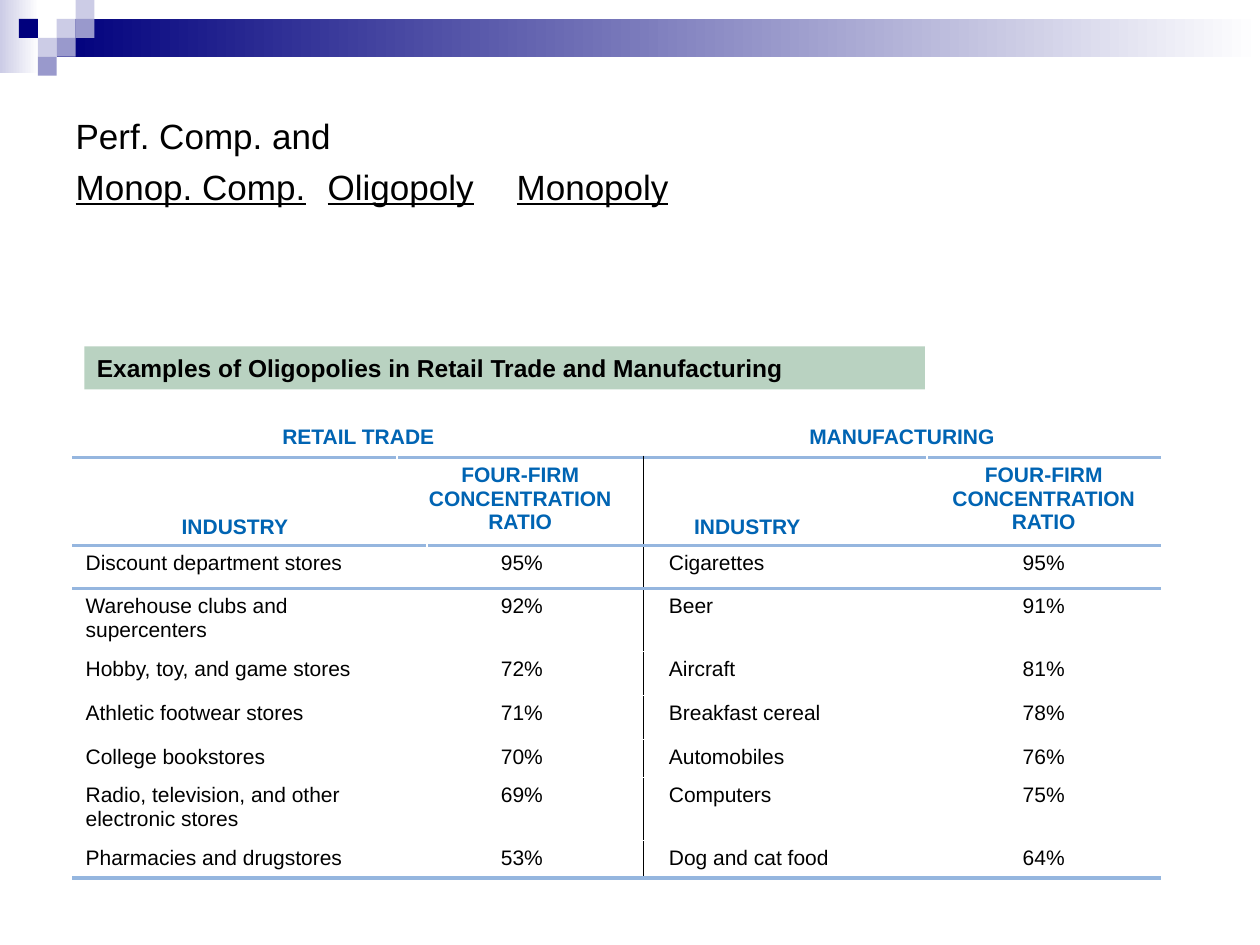
from pptx import Presentation
from pptx.dml.color import RGBColor
from pptx.enum.shapes import MSO_SHAPE
from pptx.enum.text import MSO_ANCHOR, MSO_AUTO_SIZE, PP_ALIGN
from pptx.oxml.ns import qn
from pptx.util import Inches, Pt
from lxml.etree import SubElement, Element

NAVY, LILAC, VIOLET, WHITE = "00007D", "CCCCE6", "9999CC", "FFFFFF"
BLACK, HEAD_BLUE, RULE_BLUE, SAGE = "000000", "0064B3", "95B6DF", "B9D2C1"

FADES = [((0, 0, 0.31, 0.58), LILAC), ((0.45, 0.15, 9.55, 0.3), NAVY)]
SQUARE = 0.15
SQUARES = [(3, 1, LILAC), (4, 0, LILAC), (4, 1, VIOLET), (2, 2, LILAC),
           (1, 1, NAVY), (3, 2, VIOLET), (2, 3, VIOLET)]

MARKETS = ["Perf. Comp. and", "Monop. Comp.\tOligopoly\tMonopoly"]
MARKET_TABS = [3.23, 6]
BANNER = "Examples of Oligopolies in Retail Trade and Manufacturing"

COLS = [2.57, 0.2, 1.72, 2.25, 1.85]
ROWS = [0.3, 0.7, 0.34, 0.5, 0.35, 0.35, 0.3, 0.5, 0.3]
RATIO = "FOUR-FIRM CONCENTRATION RATIO"
INDUSTRIES = [
    ("Discount department stores", "95%", "Cigarettes", "95%"),
    ("Warehouse clubs and supercenters", "92%", "Beer", "91%"),
    ("Hobby, toy, and game stores", "72%", "Aircraft", "81%"),
    ("Athletic footwear stores", "71%", "Breakfast cereal", "78%"),
    ("College bookstores", "70%", "Automobiles", "76%"),
    ("Radio, television, and other electronic stores", "69%", "Computers", "75%"),
    ("Pharmacies and drugstores", "53%", "Dog and cat food", "64%"),
]
DIVIDER_COL = 3
RULED_ROWS = {0, 1, len(ROWS) - 1}

LEFT, CENTER, RIGHT = PP_ALIGN.LEFT, PP_ALIGN.CENTER, PP_ALIGN.RIGHT
TOP, BOTTOM = MSO_ANCHOR.TOP, MSO_ANCHOR.BOTTOM
# Each cell format: first column, columns spanned, alignment, anchor, left and right inset
GROUP_CELLS = [(0, 3, CENTER, TOP, 0.1, 0.1), (3, 2, CENTER, TOP, 0.1, 0.1)]
LABEL_CELLS = [(0, 1, CENTER, BOTTOM, 0.1, 0.1), (1, 2, CENTER, TOP, 0.1, 0.1),
               (3, 1, LEFT, BOTTOM, 0.4, 0), (4, 1, CENTER, TOP, 0.1, 0.1)]
DATA_CELLS = [(0, 2, LEFT, TOP, 0.1, 0.1), (2, 1, RIGHT, TOP, 0.1, 0.8),
              (3, 1, LEFT, TOP, 0.2, 0.1), (4, 1, CENTER, TOP, 0.1, 0.1)]


def rgb(value):
    """Turn a hex string into a colour."""
    return RGBColor.from_string(value)


def write(p, text, color=BLACK, **font):
    """Add a run of Arial text to a paragraph."""
    r = p.add_run()
    r.text = text
    r.font.color.rgb = rgb(color)
    for name, value in {"name": "Arial", **font}.items():
        setattr(r.font, name, value)


def add_rect(slide, box, color, fade=False):
    """Add a plain rectangle, solid or fading to white on the right."""
    sp = slide.shapes.add_shape(MSO_SHAPE.RECTANGLE, *map(Inches, box))
    sp.shadow.inherit = False
    sp.line.fill.background()
    if fade:
        sp.fill.gradient()
        sp.fill.gradient_angle = 0
        for stop, value, position in zip(sp.fill.gradient_stops, (color, WHITE), (0, 1)):
            stop.color.rgb = rgb(value)
            stop.position = position
    else:
        sp.fill.solid()
        sp.fill.fore_color.rgb = rgb(color)
    return sp


def add_markets(slide):
    """Fill the body placeholder with the market types on tab stops."""
    sp = slide.placeholders[1]
    sp.left, sp.top, sp.width, sp.height = map(Inches, (0.5, 0.5, 9, 6.42))
    tf = sp.text_frame
    tf.auto_size = MSO_AUTO_SIZE.NONE
    tf.margin_top = Inches(0.41)
    for i, line in enumerate(MARKETS):
        p = tf.add_paragraph() if i else tf.paragraphs[0]
        p.space_before = Pt(4.8 * i)
        pPr = p._p.get_or_add_pPr()
        pPr.set("marL", "0")
        pPr.set("indent", "0")
        SubElement(pPr, qn("a:buNone"))
        tabs = SubElement(pPr, qn("a:tabLst"))
        for stop in MARKET_TABS:
            SubElement(tabs, qn("a:tab"), pos=str(Inches(stop)), algn="l")
        write(p, line, size=Pt(20), underline=bool(i))


def set_borders(cell, borders):
    """Put lines on the given sides, in the order L, R, T, B."""
    tcPr = cell._tc.get_or_add_tcPr()
    for i, (side, color, width) in enumerate(borders):
        ln = Element(qn("a:ln" + side), w=str(Pt(width)))
        fill = SubElement(ln, qn("a:solidFill"))
        SubElement(fill, qn("a:srgbClr"), val=color)
        tcPr.insert(i, ln)


def borders_at(row, first, last):
    """List the borders of a cell from its place in the grid."""
    sides = []
    if row and first == DIVIDER_COL:
        sides.append(("L", BLACK, 1))
    if row and last == DIVIDER_COL - 1:
        sides.append(("R", BLACK, 1))
    if row - 1 in RULED_ROWS:
        sides.append(("T", RULE_BLUE, 2.25))
    if row in RULED_ROWS:
        sides.append(("B", RULE_BLUE, 2.25))
    return sides


def add_ratios(slide):
    """Add the table of concentration ratios."""
    table = slide.shapes.add_table(len(ROWS), len(COLS), Inches(0.58), Inches(3.33),
                                   Inches(sum(COLS)), Inches(sum(ROWS))).table
    table.first_row = table.horz_banding = False
    for column, width in zip(table.columns, COLS):
        column.width = Inches(width)
    for row, height in zip(table.rows, ROWS):
        row.height = Inches(height)
    content = [(("RETAIL TRADE", "MANUFACTURING"), GROUP_CELLS),
               (("INDUSTRY", RATIO) * 2, LABEL_CELLS)]
    content += [(texts, DATA_CELLS) for texts in INDUSTRIES]
    for row, (texts, formats) in enumerate(content):
        header = row < 2
        for text, (first, span, align, anchor, left, right) in zip(texts, formats):
            last = first + span - 1
            cell = table.cell(row, first)
            if span > 1:
                cell.merge(table.cell(row, last))
            for col in range(first, last + 1):
                part = table.cell(row, col)
                part.fill.background()
                set_borders(part, borders_at(row, first if col == first else col, last))
            cell.vertical_anchor = anchor
            cell.margin_left, cell.margin_right = Inches(left), Inches(right)
            p = cell.text_frame.paragraphs[0]
            p.alignment = align
            write(p, text, HEAD_BLUE if header else BLACK, size=Pt(12), bold=header)


def add_banner(slide):
    """Add the heading bar above the table."""
    tf = add_rect(slide, (0.67, 2.75, 6.67, 0.34), SAGE).text_frame
    tf.word_wrap = True
    tf.vertical_anchor = MSO_ANCHOR.MIDDLE
    p = tf.paragraphs[0]
    p.alignment = LEFT
    write(p, BANNER, size=Pt(14), bold=True)


prs = Presentation()
prs.slide_width, prs.slide_height = Inches(10), Inches(7.5)
slide = prs.slides.add_slide(prs.slide_layouts[1])
title = slide.shapes.title._element
title.getparent().remove(title)
for box, color in FADES:
    add_rect(slide, box, color, fade=True)
for col, row, color in SQUARES:
    add_rect(slide, (col * SQUARE, row * SQUARE, SQUARE, SQUARE), color)
add_markets(slide)
add_ratios(slide)
add_banner(slide)
prs.save("out.pptx")
